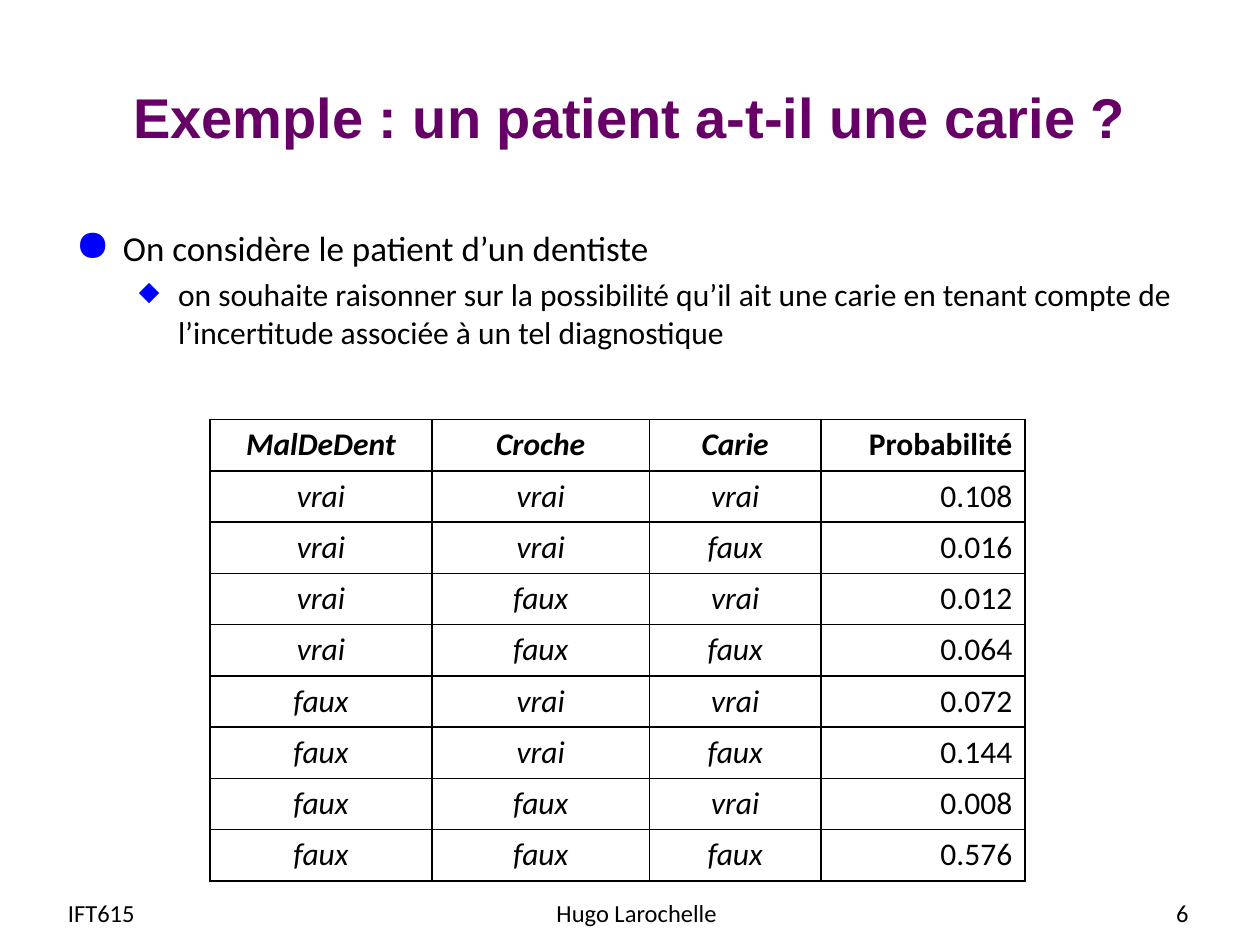
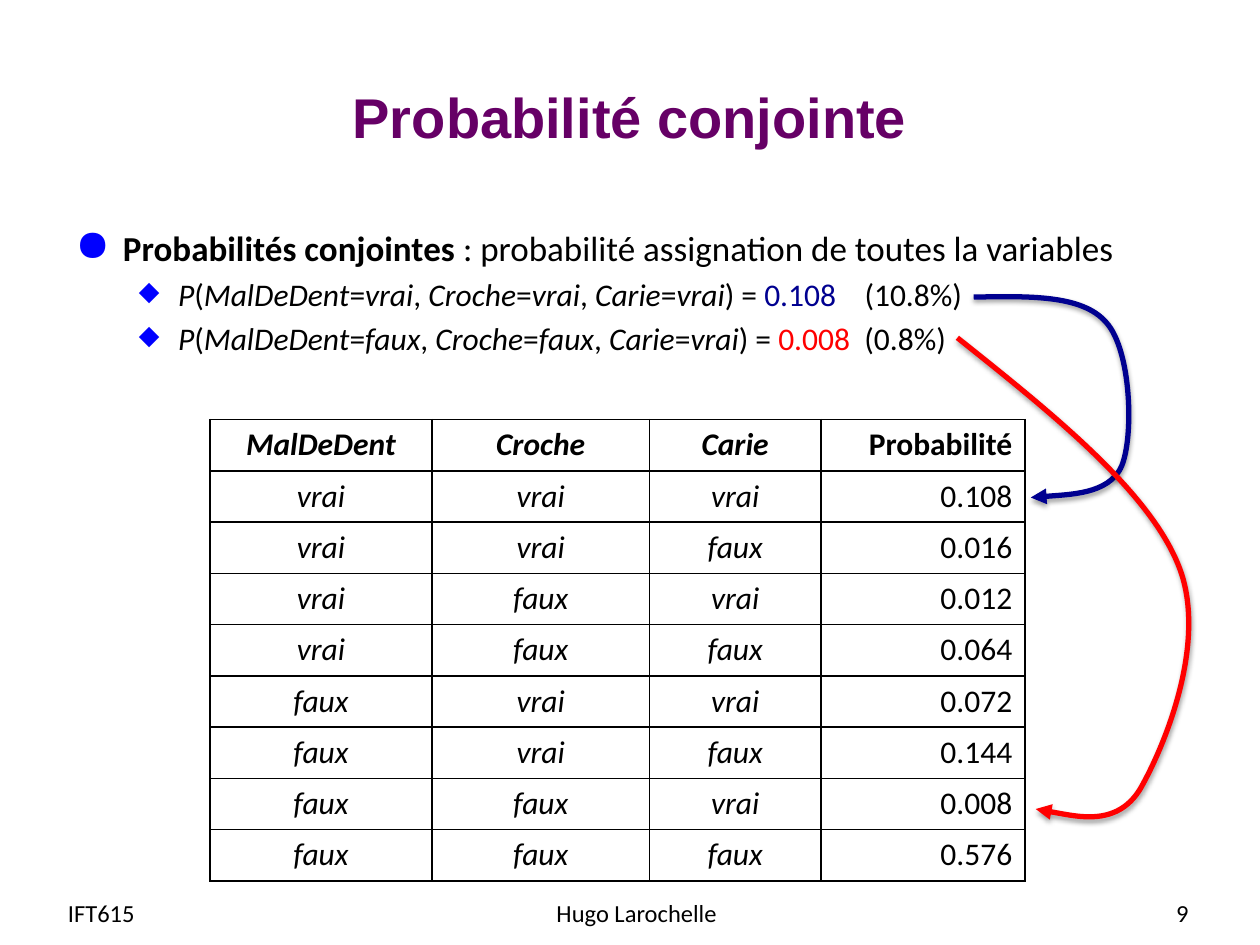
from itertools import product

from lxml.etree import SubElement
from pptx import Presentation
from pptx.dml.color import RGBColor
from pptx.enum.text import MSO_ANCHOR, PP_ALIGN
from pptx.oxml import parse_xml
from pptx.oxml.ns import nsdecls, qn
from pptx.util import Cm, Pt

BLACK = RGBColor(0x00, 0x00, 0x00)
PURPLE = RGBColor(0x66, 0x00, 0x66)
BLUE = RGBColor(0x00, 0x00, 0xFF)
NAVY = RGBColor(0x00, 0x00, 0x90)
RED = RGBColor(0xFF, 0x00, 0x00)

VARIABLES = ["MalDeDent", "Croche", "Carie"]
PROBABILITIES = ["0.108", "0.016", "0.012", "0.064", "0.072", "0.144", "0.008", "0.576"]
ASSIGNMENTS = list(product(["vrai", "faux"], repeat=len(VARIABLES)))
COLUMN_WIDTHS = [4.48, 4.38, 3.46, 4.11]
TABLE_HEIGHT = 9.3


class CourseDeck:
    heading_font = "Arial"
    body_font = "Calibri"

    def __init__(self):
        self.deck = Presentation()
        self.deck.slide_width = Cm(25.4)
        self.deck.slide_height = Cm(19.05)
        self.page = None

    def add_page(self, title, number):
        self.page = self.deck.slides.add_slide(self.deck.slide_layouts[6])
        para = self.text_box(1.27, 0.76, 22.86, 3.18).paragraphs[0]
        para.alignment = PP_ALIGN.CENTER
        self.span(para, title, 32, PURPLE, bold=True, font=self.heading_font)
        footers = [
            (1.12, 4.9, "IFT615", PP_ALIGN.LEFT),
            (8.81, 8.05, "Hugo Larochelle", PP_ALIGN.CENTER),
            (18.29, 5.92, str(number), PP_ALIGN.RIGHT),
        ]
        for left, width, text, alignment in footers:
            para = self.text_box(left, 17.88, width, 1.02).paragraphs[0]
            para.alignment = alignment
            self.span(para, text, 14)

    def text_box(self, left, top, width, height, anchor=MSO_ANCHOR.MIDDLE):
        box = self.page.shapes.add_textbox(Cm(left), Cm(top), Cm(width), Cm(height))
        frame = box.text_frame
        frame.word_wrap = True
        frame.vertical_anchor = anchor
        return frame

    def span(self, para, text, size, color=BLACK, bold=False, italic=False, font=body_font):
        run = para.add_run()
        run.text = text
        run.font.name = font
        run.font.size = Pt(size)
        run.font.bold = bold
        run.font.italic = italic
        run.font.color.rgb = color
        return run

    def body(self):
        return self.text_box(1.27, 4.45, 22.86, 4.34, MSO_ANCHOR.TOP)

    def bullet(self, para, symbol, percent, margin, indent):
        properties = para._p.get_or_add_pPr()
        properties.set("marL", str(Cm(margin)))
        properties.set("indent", str(-Cm(indent)))
        color = SubElement(properties, qn("a:buClr"))
        SubElement(color, qn("a:srgbClr"), val=str(BLUE))
        SubElement(properties, qn("a:buSzPct"), val=str(percent * 1000))
        SubElement(properties, qn("a:buChar"), char=symbol)

    def main_point(self, frame):
        para = frame.paragraphs[0]
        self.bullet(para, "●", 125, 0.96, 0.96)
        return para

    def sub_point(self, frame):
        para = frame.add_paragraph()
        para.level = 1
        para.space_before = Pt(3.6)
        self.bullet(para, "◆", 85, 2.07, 0.79)
        return para

    def joint_probability(self, frame, values, color, percentage, gap):
        para = self.sub_point(frame)
        self.span(para, "P", 18, italic=True)
        separator = "("
        for variable, value in zip(VARIABLES, values):
            self.span(para, separator, 18)
            self.span(para, variable, 18, italic=True)
            self.span(para, "=", 18)
            self.span(para, value, 18, italic=True)
            separator = ", "
        self.span(para, ") = ", 18)
        self.span(para, PROBABILITIES[ASSIGNMENTS.index(values)], 18, color)
        space = self.span(para, " ", 18)
        space.font._element.set("spc", str(gap))
        self.span(para, percentage, 18)

    def cell_borders(self, cell):
        properties = cell._tc.get_or_add_tcPr()
        for position, side in enumerate(["lnL", "lnR", "lnT", "lnB"]):
            border = parse_xml(
                f'<a:{side} {nsdecls("a")} w="{Pt(1)}"><a:solidFill>'
                f'<a:srgbClr val="{BLACK}"/></a:solidFill></a:{side}>'
            )
            properties.insert(position, border)

    def probability_table(self):
        rows = [VARIABLES + ["Probabilité"]]
        rows += [[*values, chance] for values, chance in zip(ASSIGNMENTS, PROBABILITIES)]
        table = self.page.shapes.add_table(
            len(rows), len(COLUMN_WIDTHS), Cm(4.23), Cm(8.46),
            Cm(sum(COLUMN_WIDTHS)), Cm(TABLE_HEIGHT),
        ).table
        table.first_row = False
        table.horz_banding = False
        for column, width in zip(table.columns, COLUMN_WIDTHS):
            column.width = Cm(width)
        for row_index, row in enumerate(rows):
            table.rows[row_index].height = Cm(TABLE_HEIGHT / len(rows))
            for column_index, text in enumerate(row):
                cell = table.cell(row_index, column_index)
                cell.fill.background()
                self.cell_borders(cell)
                is_variable = column_index < len(VARIABLES)
                para = cell.text_frame.paragraphs[0]
                para.alignment = PP_ALIGN.CENTER if is_variable else PP_ALIGN.RIGHT
                self.span(para, text, 18, bold=row_index == 0, italic=is_variable)

    def curved_arrow(self, points, width, height, color):
        points = [(Cm(x), Cm(y)) for x, y in points]
        builder = self.page.shapes.build_freeform(*points[0])
        builder.add_line_segments(points[3::3], close=False)
        arrow = builder.convert_to_shape()
        self.bend(arrow, points, Cm(width), Cm(height))
        arrow.fill.background()
        arrow.line.color.rgb = color
        arrow.line.width = Pt(3)
        SubElement(arrow.line._get_or_add_ln(), qn("a:tailEnd"), type="triangle")
        arrow.shadow.inherit = False
        effects = arrow._element.spPr.find(qn("a:effectLst"))
        shadow = SubElement(
            effects, qn("a:outerShdw"), blurRad=str(Pt(3.1)), dist=str(Pt(1.6)),
            dir="5400000", rotWithShape="0",
        )
        shade = SubElement(shadow, qn("a:srgbClr"), val=str(BLACK))
        SubElement(shade, qn("a:alpha"), val="38000")

    def bend(self, arrow, points, width, height):
        outline = next(arrow._element.iter(qn("a:path")))
        for segment in outline.findall(qn("a:lnTo")):
            outline.remove(segment)
        for first in range(1, len(points), 3):
            curve = SubElement(outline, qn("a:cubicBezTo"))
            for x, y in points[first:first + 3]:
                SubElement(curve, qn("a:pt"), x=str(x - arrow.left), y=str(y - arrow.top))
        arrow.width, arrow.height = width, height
        outline.set("w", str(width))
        outline.set("h", str(height))


course = CourseDeck()

course.add_page("Exemple : un patient a-t-il une carie ?", 6)
content = course.body()
course.span(course.main_point(content), "On considère le patient d’un dentiste", 20)
course.span(
    course.sub_point(content),
    "on souhaite raisonner sur la possibilité qu’il ait une carie en tenant compte de "
    "l’incertitude associée à un tel diagnostique",
    18,
)
course.probability_table()

course.add_page("Probabilité conjointe", 9)
content = course.body()
definition = course.main_point(content)
course.span(definition, "Probabilités conjointes ", 20, bold=True)
course.span(definition, ": probabilité assignation de toutes la variables", 20)
course.joint_probability(content, ("vrai", "vrai", "vrai"), NAVY, "(10.8%)", 1220)
course.joint_probability(content, ("faux", "faux", "vrai"), RED, "(0.8%)", 410)
course.probability_table()
course.curved_arrow(
    [(19.63, 5.99), (20.73, 5.97), (21.82, 5.94), (22.3, 6.5), (22.81, 7.06),
     (22.86, 8.81), (22.61, 9.4), (22.35, 9.98), (20.78, 10.03), (20.78, 10.03)],
    3.12, 4.04, NAVY,
)
course.curved_arrow(
    [(19.3, 6.81), (21.21, 8.33), (23.14, 9.88), (23.75, 11.38), (24.38, 12.9),
     (23.47, 15.06), (22.99, 15.9), (22.5, 16.71), (20.88, 16.31), (20.88, 16.31)],
    4.67, 9.63, RED,
)

course.deck.save("out.pptx")
